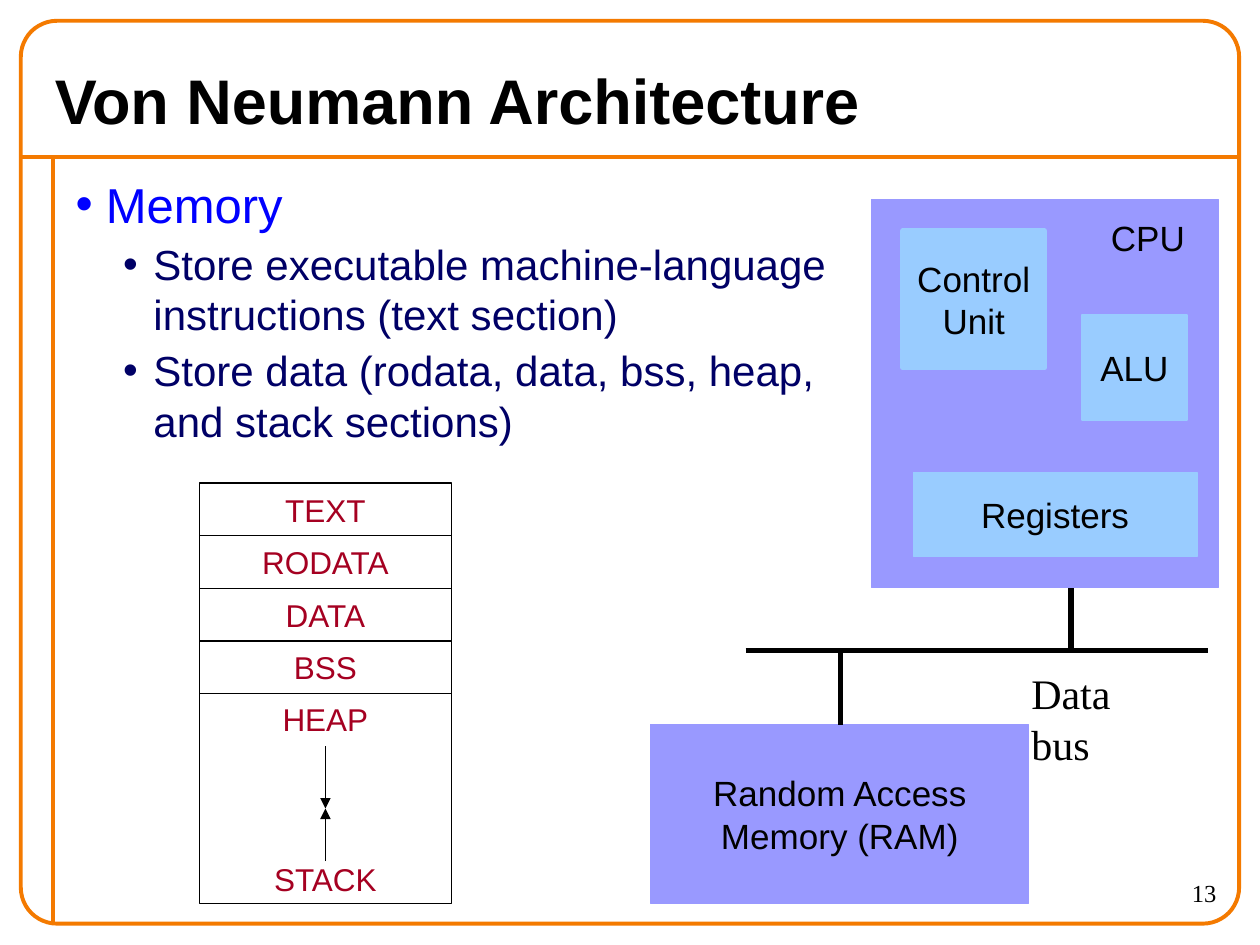
"""Build the Von Neumann Architecture slide on memory sections."""
import pptx
import pptx.util
import pptx.dml.color
import pptx.enum.shapes
import pptx.enum.text
import pptx.oxml.ns
import lxml.etree

Cm = pptx.util.Cm
Pt = pptx.util.Pt
qn = pptx.oxml.ns.qn
ALIGN = pptx.enum.text.PP_ALIGN
ANCHOR = pptx.enum.text.MSO_ANCHOR
SHAPE = pptx.enum.shapes.MSO_SHAPE

ORANGE, BLACK, BLUE, NAVY, RED = "F47A00", "000000", "0000FF", "000066", "A50021"
VIOLET, SKY = "9999FF", "99CCFF"


def color(value):
    """Turn a hex string into an RGB colour."""
    return pptx.dml.color.RGBColor.from_string(value)


def place(sp, x, y, w, h):
    """Set position and size in centimetres."""
    sp.left, sp.top, sp.width, sp.height = Cm(x), Cm(y), Cm(w), Cm(h)


def add_bullet(p, indent, fill):
    """Give a paragraph a hanging round bullet."""
    pPr = p._p.get_or_add_pPr()
    pPr.set("marL", str(Cm(indent)))
    pPr.set("indent", str(-Cm(0.61)))
    clr = lxml.etree.SubElement(pPr, qn("a:buClr"))
    lxml.etree.SubElement(clr, qn("a:srgbClr"), val=fill)
    lxml.etree.SubElement(pPr, qn("a:buFont"), typeface="Arial")
    lxml.etree.SubElement(pPr, qn("a:buChar"), char="•")


def write(tf, text, size=20, fill=BLACK, font="Arial", bold=False,
          align=ALIGN.CENTER, before=0, level=0, indent=None):
    """Append one formatted paragraph to a text frame."""
    p = tf.paragraphs[0] if not tf.text else tf.add_paragraph()
    p.level, p.alignment, p.space_before = level, align, Pt(before)
    if indent is not None:
        add_bullet(p, indent, fill)
    r = p.add_run()
    r.text = text
    r.font.size, r.font.name, r.font.bold = Pt(size), font, bold
    r.font.color.rgb = color(fill)


def add_box(s, x, y, w, h, fill=None, line=None, weight=0.75, kind=SHAPE.RECTANGLE):
    """Draw a box and return it; its text is centred and does not wrap."""
    sp = s.shapes.add_shape(kind, Cm(x), Cm(y), Cm(w), Cm(h))
    sp.shadow.inherit = False
    if fill:
        sp.fill.solid()
        sp.fill.fore_color.rgb = color(fill)
    else:
        sp.fill.background()
    sp.line.color.rgb = color(line or fill)
    sp.line.width = Pt(weight)
    sp.text_frame.word_wrap = False
    sp.text_frame.vertical_anchor = ANCHOR.MIDDLE
    return sp


def add_line(s, x1, y1, x2, y2, fill=BLACK, weight=3, arrow=False):
    """Draw a straight line, with an arrowhead at its end if asked."""
    c = s.shapes.add_connector(pptx.enum.shapes.MSO_CONNECTOR.STRAIGHT,
                               Cm(x1), Cm(y1), Cm(x2), Cm(y2))
    c.line.color.rgb = color(fill)
    c.line.width = Pt(weight)
    if arrow:
        lxml.etree.SubElement(c.line._get_or_add_ln(), qn("a:tailEnd"), type="triangle")
    lxml.etree.SubElement(c._element.spPr, qn("a:effectLst"))


def add_label(s, text, x, y, w, h, wrap=True, **fmt):
    """Add a text box holding one paragraph."""
    tf = s.shapes.add_textbox(Cm(x), Cm(y), Cm(w), Cm(h)).text_frame
    tf.word_wrap = wrap
    write(tf, text, **fmt)


def add_frame(s):
    """Draw the orange frame and its rules."""
    add_line(s, 0.42, 3.17, 24.97, 3.17, ORANGE, 2.25)
    add_line(s, 1.06, 3.17, 1.06, 18.62, ORANGE, 2.25)
    frame = add_box(s, 0.42, 0.42, 24.56, 18.2, line=ORANGE, weight=2.25,
                    kind=SHAPE.ROUNDED_RECTANGLE)
    frame.adjustments[0] = 0.04


def fill_placeholders(s):
    """Write the title and the bullet list."""
    title, body = s.placeholders
    place(title, 0.85, 1.06, 23.7, 1.9)
    title.text_frame.vertical_anchor = ANCHOR.MIDDLE
    write(title.text_frame, "Von Neumann Architecture", size=36, bold=True, align=ALIGN.LEFT)
    place(body, 1.27, 3.39, 15.88, 15.24)
    tf = body.text_frame
    tf.auto_size = pptx.enum.text.MSO_AUTO_SIZE.NONE
    write(tf, "Memory", size=28, fill=BLUE, align=ALIGN.LEFT, indent=0.61)
    for text in ("Store executable machine-language instructions (text section)",
                 "Store data (rodata, data, bss, heap, and stack sections)"):
        write(tf, text, size=24, fill=NAVY, align=ALIGN.LEFT, before=3, level=1, indent=1.57)


def add_computer(s):
    """Draw the CPU, the RAM and the data bus."""
    for lines, fill, weight, at in (
            (["Random Access", "Memory (RAM)"], VIOLET, 0.75, (13.12, 14.61, 7.62, 3.6)),
            ([], VIOLET, 0.75, (17.57, 4.02, 6.99, 7.83)),
            (["Control", "Unit"], SKY, 3, (18.2, 4.66, 2.86, 2.75)),
            (["ALU"], SKY, 0.75, (21.81, 6.35, 2.12, 2.12)),
            (["Registers"], SKY, 0.75, (18.41, 9.53, 5.72, 1.69))):
        sp = add_box(s, *at, fill=fill, weight=weight)
        for text in lines:
            write(sp.text_frame, text)
    add_label(s, "CPU", 22.01, 4.23, 2.26, 1.12)
    add_line(s, 15.03, 13.12, 24.35, 13.12)
    add_line(s, 16.94, 14.61, 16.94, 13.12)
    add_line(s, 21.59, 13.12, 21.59, 11.85)
    add_label(s, "Data bus", 20.54, 13.34, 3.48, 1.27, wrap=False, size=24,
              font="Times New Roman", align=ALIGN.LEFT)


def add_sections(s):
    """Stack the memory sections, with heap and stack growing together."""
    x, y, w, h = 4.02, 9.74, 5.08, 1.06
    names = ("TEXT", "RODATA", "DATA", "BSS")
    for i, name in enumerate(names):
        sp = add_box(s, x, y + i * h, w, h, line=BLACK)
        write(sp.text_frame, name, size=18, fill=RED)
    tf = add_box(s, x, y + len(names) * h, w, 4 * h, line=BLACK).text_frame
    tf.vertical_anchor = ANCHOR.TOP
    write(tf, "HEAP", size=18, fill=RED)
    write(tf, "STACK", size=18, fill=RED, before=70)
    for start in (17.36, 15.04):
        add_line(s, x + w / 2, start, x + w / 2, 16.3, weight=1, arrow=True)


def main():
    """Assemble and save the slide."""
    prs = pptx.Presentation()
    prs.slide_width, prs.slide_height = Cm(25.4), Cm(19.05)
    s = prs.slides.add_slide(prs.slide_layouts[1])
    add_frame(s)
    add_label(s, "13", 22.23, 17.57, 2.54, 1.06, size=14,
              font="Times New Roman", align=ALIGN.RIGHT)
    fill_placeholders(s)
    add_computer(s)
    add_sections(s)
    prs.save("out.pptx")


if __name__ == "__main__":
    main()
